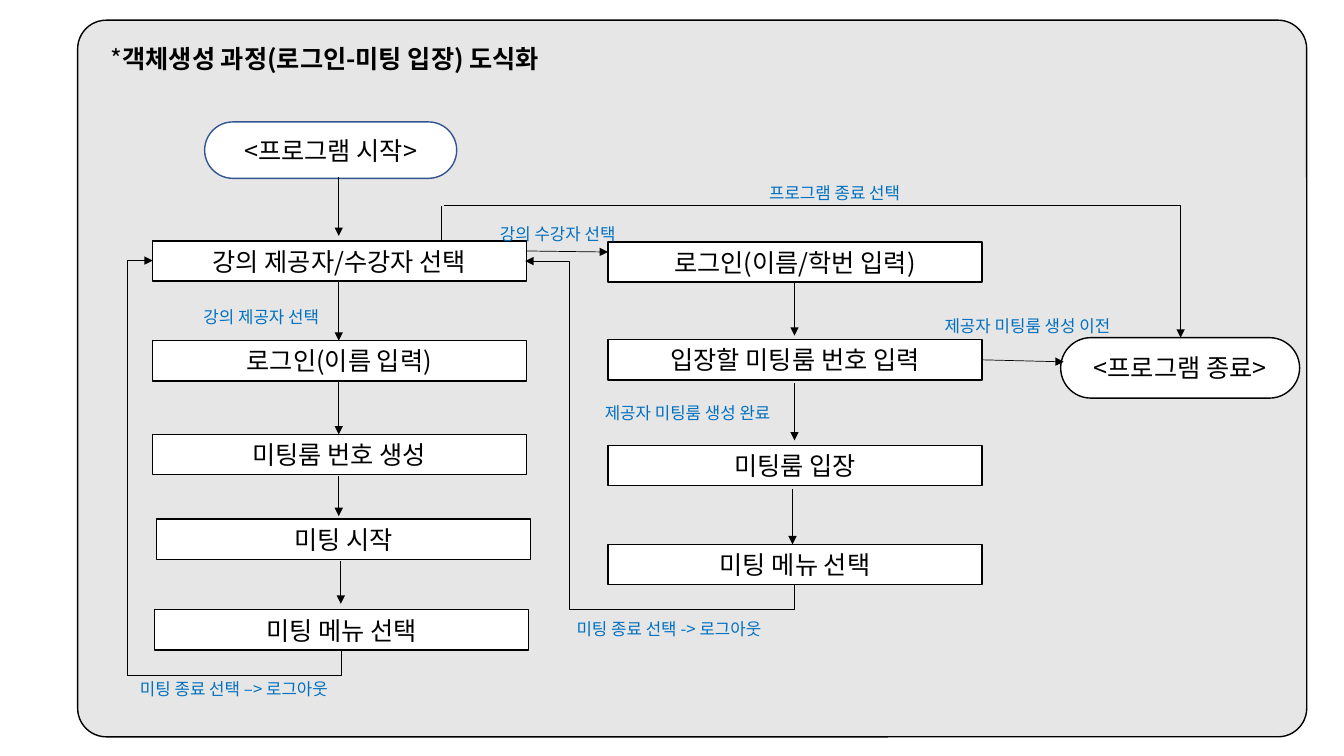
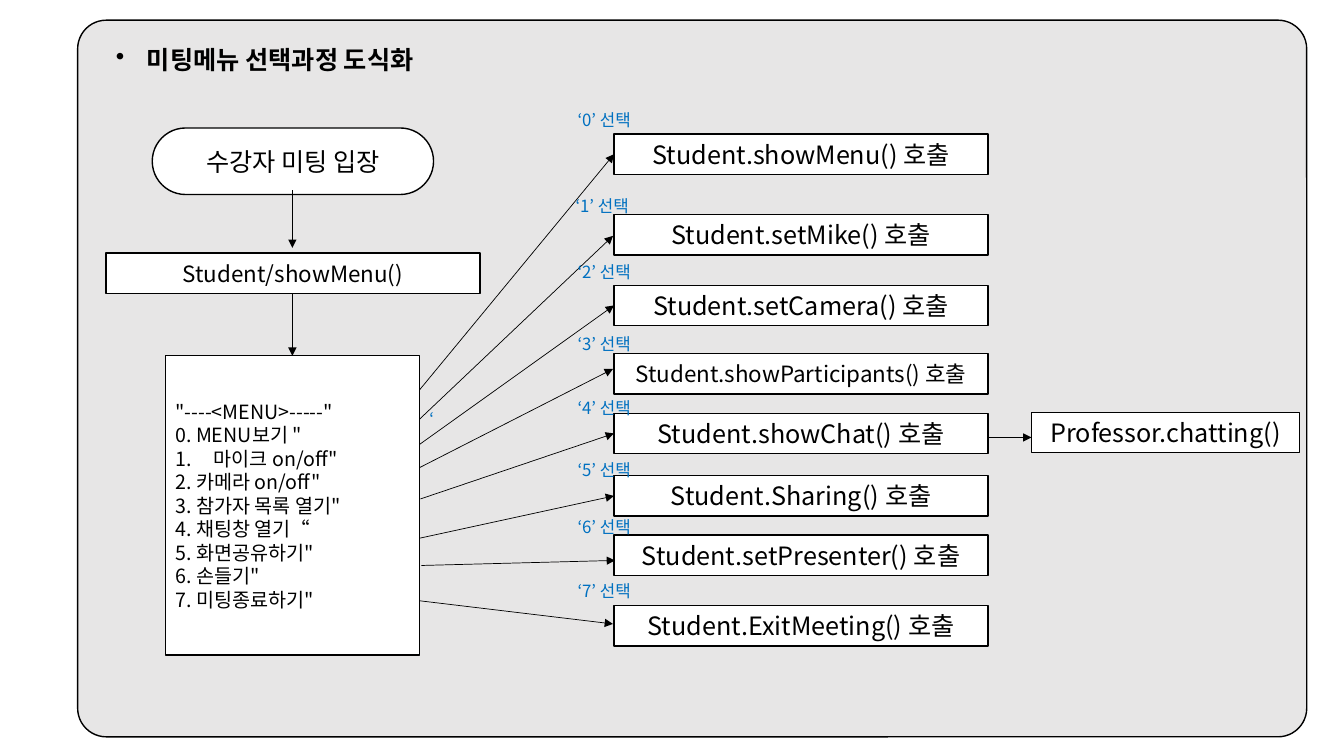
from lxml.etree import SubElement
from pptx import Presentation
from pptx.dml.color import RGBColor
from pptx.enum.shapes import MSO_CONNECTOR as CONNECTOR, MSO_SHAPE as SHAPE
from pptx.enum.text import MSO_ANCHOR as ANCHOR, PP_ALIGN as ALIGN
from pptx.oxml.ns import qn
from pptx.util import Inches, Pt

COLORS = {"panel": "E7E6E6", "box": "FFFFFF", "ink": "000000", "label": "0070C0", "start": "325491"}
FONT = "Noto Sans CJK KR"
BOX_WIDTH, BOX_HEIGHT = 3.71, 0.4
LABEL_HEIGHT = 0.3


def add_box(slide, frame, text="", size=18, align=ALIGN.CENTER, kind=SHAPE.RECTANGLE,
            fill="box", line="ink", color="ink", bold=False):
    """Add a shape, or a text box when kind is None, with one paragraph per line of text."""
    area = [Inches(value) for value in frame]
    if kind is None:
        shape = slide.shapes.add_textbox(*area)
    else:
        shape = slide.shapes.add_shape(kind, *area)
        shape.shadow.inherit = False
        shape.fill.solid()
        shape.fill.fore_color.rgb = RGBColor.from_string(COLORS[fill])
        shape.line.color.rgb = RGBColor.from_string(COLORS[line])
        shape.line.width = Pt(1)
        shape.text_frame.vertical_anchor = ANCHOR.MIDDLE
    shape.text_frame.word_wrap = True
    shape.text_frame.text = text
    for paragraph in shape.text_frame.paragraphs:
        paragraph.alignment = align
        font = paragraph.font
        font.name, font.size, font.bold = FONT, Pt(size), bold
        font.color.rgb = RGBColor.from_string(COLORS[color])
        defaults = paragraph._p.pPr.find(qn("a:defRPr"))
        SubElement(defaults, qn("a:ea")).set("typeface", FONT)
    return shape


def add_line(slide, start, end, kind=CONNECTOR.STRAIGHT, arrow=True):
    """Add a thin black connector, with an arrowhead at its end unless arrow is False."""
    connector = slide.shapes.add_connector(kind, *[Inches(value) for value in (*start, *end)])
    connector.line.color.rgb = RGBColor.from_string(COLORS["ink"])
    connector.line.width = Pt(0.5)
    properties = connector._element.spPr
    if arrow:
        SubElement(properties.find(qn("a:ln")), qn("a:tailEnd")).set("type", "triangle")
    SubElement(properties, qn("a:effectLst"))
    return connector


presentation = Presentation()
presentation.slide_width, presentation.slide_height = Inches(13.33), Inches(7.5)
slides = []
for number in range(2):
    slide = presentation.slides.add_slide(presentation.slide_layouts[6])
    panel = add_box(slide, (0.77, 0.2, 12.19, 7.11), kind=SHAPE.ROUNDED_RECTANGLE, fill="panel")
    panel.adjustments[0] = 0.04
    slides.append(slide)
login_slide, menu_slide = slides

# Capsules that start and end the flows
for slide, frame, text, line in (
    (login_slide, (2.03, 1.21, 2.5, 0.56), "<프로그램 시작>", "start"),
    (login_slide, (10.52, 3.35, 2.37, 0.6), "<프로그램 종료>", "ink"),
    (menu_slide, (1.51, 1.27, 2.79, 0.66), "수강자 미팅 입장", "ink"),
):
    capsule = add_box(slide, frame, text, kind=SHAPE.ROUNDED_RECTANGLE, line=line)
    capsule.adjustments[0] = 0.5

# Slide 1: from login to entering the meeting
title = add_box(login_slide, (1, 0.38, 4.87, 0.4), "*", kind=None, align=ALIGN.LEFT)
title_run = title.text_frame.paragraphs[0].add_run()
title_run.text = "객체생성 과정(로그인-미팅 입장) 도식화"
title_run.font.bold = True

for left, top, text in (
    (1.51, 2.39, "강의 제공자/수강자 선택"),
    (1.51, 3.38, "로그인(이름 입력)"),
    (1.51, 4.31, "미팅룸 번호 생성"),
    (1.55, 5.15, "미팅 시작"),
    (1.53, 6.05, "미팅 메뉴 선택"),
    (6.03, 2.4, "로그인(이름/학번 입력)"),
    (6.03, 3.37, "입장할 미팅룸 번호 입력"),
    (6.03, 4.42, "미팅룸 입장"),
    (6.03, 5.4, "미팅 메뉴 선택"),
):
    add_box(login_slide, (left, top, BOX_WIDTH, BOX_HEIGHT), text)

for x, top, bottom in (
    (3.36, 1.76, 2.34), (3.36, 2.79, 3.38), (3.36, 3.78, 4.31), (3.36, 4.72, 5.12),
    (3.38, 5.57, 5.99), (7.88, 2.8, 3.33), (7.88, 3.8, 4.37), (7.86, 4.85, 5.4),
):
    add_line(login_slide, (x, top), (x, bottom))
add_line(login_slide, (5.22, 2.49), (6.03, 2.5))
add_line(login_slide, (9.74, 3.57), (10.55, 3.59))
add_line(login_slide, (4.38, 2.04), (4.38, 2.4), arrow=False)

# Elbows: the frame before turning, then the bends as 1/100000 of its sides
for (left, top, width, height), preset, turned, bends in (
    ((0.52, 3.58, 3.86, 1.87), "bentConnector4", True, (-6500, 113400)),
    ((4.94, 2.86, 3.21, 2.67), "bentConnector4", True, (-7800, 83600)),
    ((4.4, 2.04, 7.31, 1.31), "bentConnector2", False, ()),
):
    elbow = add_line(login_slide, (left, top), (left + width, top + height), CONNECTOR.ELBOW)
    properties = elbow._element.spPr
    if turned:
        properties.xfrm.set("rot", "5400000")
        properties.xfrm.set("flipH", "1")
        properties.xfrm.set("flipV", "1")
        del properties.xfrm.attrib["flipV"]
    geometry = properties.find(qn("a:prstGeom"))
    geometry.set("prst", preset)
    for index, bend in enumerate(bends, 1):
        guide = SubElement(geometry.find(qn("a:avLst")), qn("a:gd"))
        guide.set("name", f"adj{index}")
        guide.set("fmla", f"val {bend}")

for left, top, width, text in (
    (5.9, 3.95, 2.13, "제공자 미팅룸 생성 완료"),
    (1.92, 2.99, 1.6, "강의 제공자 선택"),
    (4.86, 2.17, 1.6, "강의 수강자 선택"),
    (9.27, 3.08, 2.13, "제공자 미팅룸 생성 이전"),
    (1.29, 6.68, 2.37, "미팅 종료 선택 –> 로그아웃"),
    (5.62, 6.09, 2.36, "미팅 종료 선택 -> 로그아웃"),
    (7.53, 1.76, 1.67, "프로그램 종료 선택"),
):
    add_box(login_slide, (left, top, width, LABEL_HEIGHT), text, 12, ALIGN.LEFT, None, color="label")

# Slide 2: choices of the meeting menu
title = add_box(menu_slide, (1.05, 0.39, 3.47, 0.4), "미팅메뉴 선택과정 도식화",
                kind=None, align=ALIGN.LEFT, bold=True)
add_box(menu_slide, (1.05, 2.51, BOX_WIDTH, BOX_HEIGHT), "Student/showMenu()", 16)
menu_lines = (
    '"----<MENU>-----"', '0. MENU보기 "', '마이크 on/off"', '2. 카메라 on/off"', '3. 참가자 목록 열기"',
    "4. 채팅창 열기“", '5. 화면공유하기"', '6. 손들기"', '7. 미팅종료하기"',
)
menu = add_box(menu_slide, (1.64, 3.53, 2.52, 2.97), "\n".join(menu_lines), 14, ALIGN.LEFT)

for paragraph, indent, tag, attribute, value in (
    (title.text_frame.paragraphs[0], 0.31, "a:buChar", "char", "•"),
    (menu.text_frame.paragraphs[2], 0.38, "a:buAutoNum", "type", "arabicPeriod"),
):
    properties = paragraph._p.pPr
    properties.set("marL", str(Inches(indent)))
    properties.set("indent", str(-Inches(indent)))
    bullet = SubElement(properties, qn(tag))
    bullet.set(attribute, value)
    properties.find(qn("a:defRPr")).addprevious(bullet)

add_line(menu_slide, (2.9, 1.89), (2.9, 2.46))
add_line(menu_slide, (2.9, 2.91), (2.9, 3.53))

choices = (  # call, text size, box top, arrow start, arrow end, label position
    ("showMenu", 18, 1.33, (4.16, 3.87), (6.09, 1.53), (5.63, 1.04)),
    ("setMike", 18, 2.13, (4.16, 4.16), (6.08, 2.34), (5.61, 1.89)),
    ("setCamera", 18, 2.83, (4.16, 4.41), (6.09, 3.03), (5.63, 2.55)),
    ("showParticipants", 16, 3.51, (4.16, 4.64), (6.08, 3.66), (5.63, 3.26)),
    ("showChat", 18, 4.1, (4.17, 4.95), (6.09, 4.3), (5.63, 3.9)),
    ("Sharing", 18, 4.72, (4.16, 5.34), (6.09, 4.92), (5.63, 4.51)),
    ("setPresenter", 18, 5.31, (4.18, 5.61), (6.1, 5.56), (5.63, 5.08)),
    ("ExitMeeting", 18, 6.01, (4.16, 5.96), (6.08, 6.19), (5.63, 5.71)),
)
for number, (call, size, top, start, end, label) in enumerate(choices):
    add_box(menu_slide, (6.09, top, BOX_WIDTH, BOX_HEIGHT), f"Student.{call}() 호출", size)
    add_line(menu_slide, start, end)
    add_box(menu_slide, (*label, 2.13, LABEL_HEIGHT), f"‘{number}’ 선택", 12, ALIGN.LEFT, None, color="label")
add_box(menu_slide, (4.16, 4.01, 2.13, LABEL_HEIGHT), "‘", 12, ALIGN.LEFT, None, color="label")

add_box(menu_slide, (10.23, 4.09, 2.66, BOX_HEIGHT), "Professor.chatting()")
add_line(menu_slide, (9.79, 4.34), (10.23, 4.34))

presentation.save("out.pptx")
